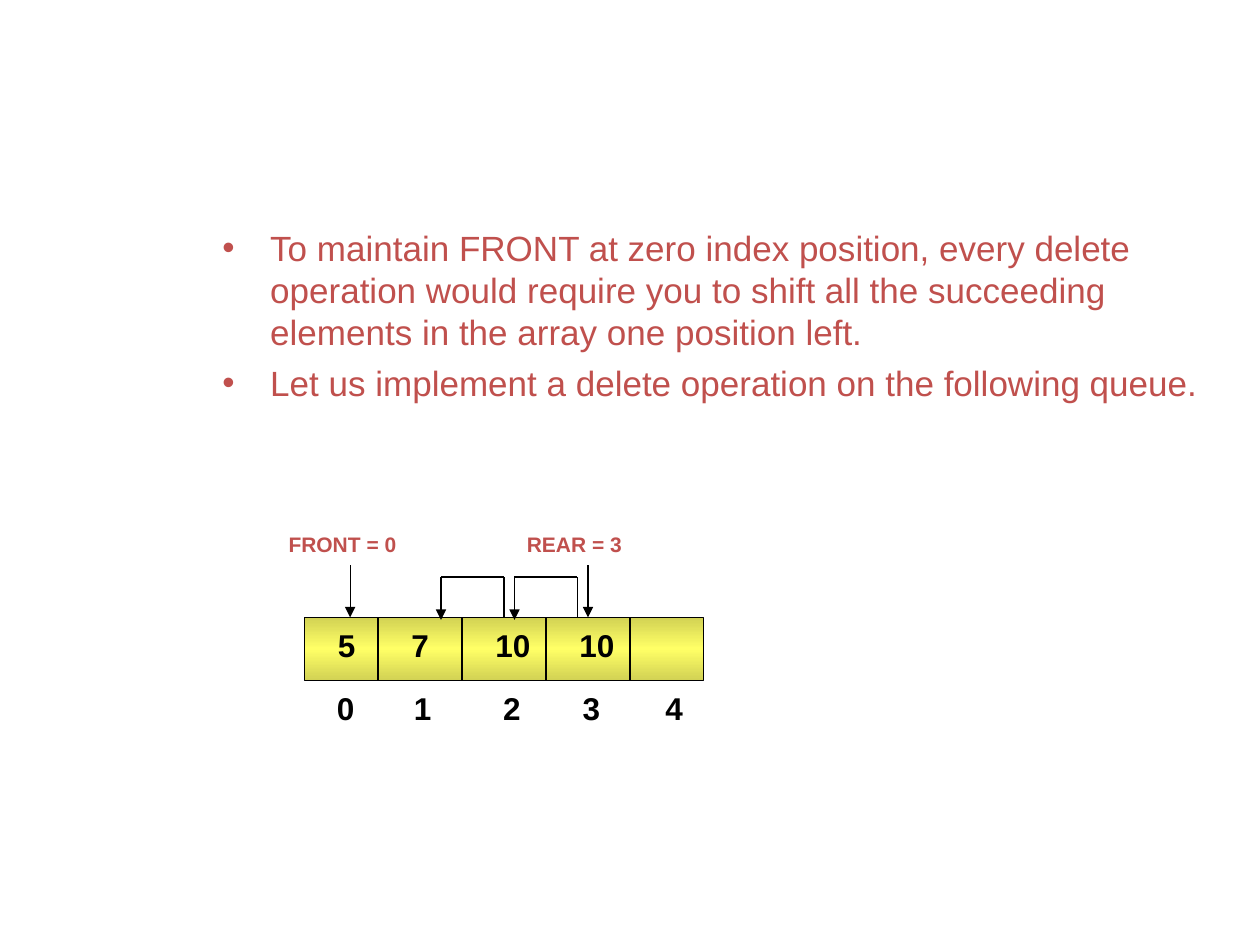
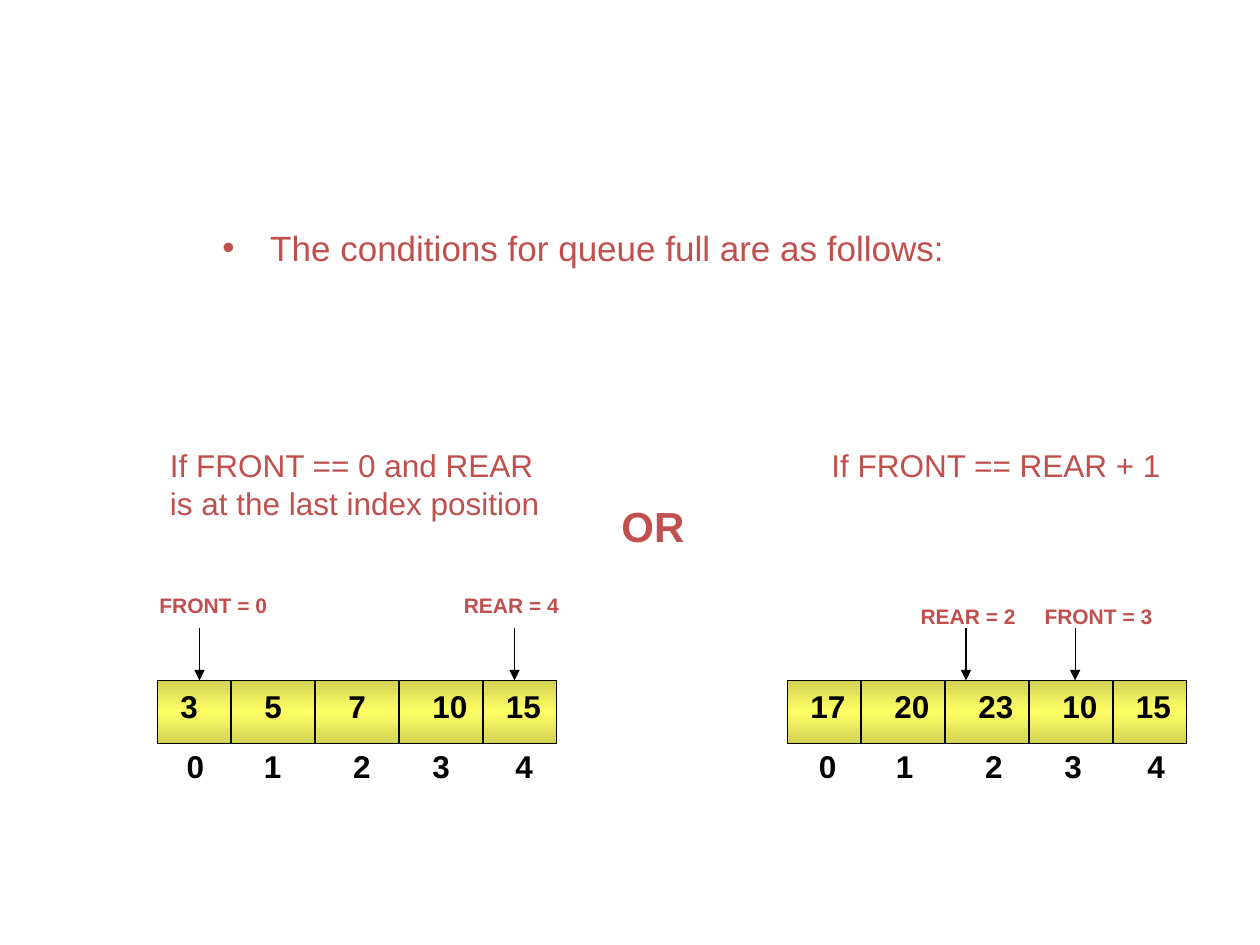
from dataclasses import dataclass
from lxml.etree import SubElement
from pptx import Presentation
from pptx.dml.color import RGBColor
from pptx.enum.shapes import MSO_CONNECTOR, MSO_SHAPE
from pptx.enum.text import MSO_AUTO_SIZE
from pptx.oxml.ns import qn
from pptx.util import Inches, Pt


@dataclass(frozen=True)
class Theme:
    font: str = "Arial"
    accent: RGBColor = RGBColor(0xC0, 0x50, 0x4D)
    ink: RGBColor = RGBColor(0, 0, 0)
    cell_edge: str = "D2D254"
    cell_middle: str = "FFFF66"
    line: float = 0.75
    label: int = 12
    text: int = 18
    bullet: int = 20
    heading: int = 24


THEME = Theme()

# The grid: 120 columns by 75 rows on a 10 by 7.5 inch slide
COLUMN = Inches(10) / 120
ROW = Inches(7.5) / 75

# Queue geometry, counted from the queue's top left corner
QUEUE_WIDTH, QUEUE_HEIGHT = 38, 5
DIVIDERS = range(7, QUEUE_WIDTH - 1, 8)
INDEX_OFFSETS = (0, 7.35, 15.85, 23.4, 31.3)
POINTER_HEIGHT = 4.15
HOP_HEIGHT = 3.2


def across(columns):
    return round(columns * COLUMN)


def down(rows):
    return round(rows * ROW)


def add_text(page, texts, left, top, width, height, size,
             color=THEME.accent, bold=False, one_line=False, bulleted=False):
    box = page.shapes.add_textbox(across(left), down(top), across(width), down(height))
    frame = box.text_frame
    frame.word_wrap = not one_line
    if one_line:
        frame.auto_size = MSO_AUTO_SIZE.SHAPE_TO_FIT_TEXT
    for number, text in enumerate(texts):
        para = frame.add_paragraph() if number else frame.paragraphs[0]
        para.text = text
        if number:
            para.space_before = Pt(5)
        if bulleted:
            add_bullet(para)
        para.font.name = THEME.font
        para.font.size = Pt(size)
        para.font.bold = bold
        para.font.color.rgb = color


def add_bullet(para):
    properties = para._p.get_or_add_pPr()
    properties.set("marL", str(Inches(0.38)))
    properties.set("indent", str(-Inches(0.38)))
    SubElement(properties, qn("a:buFont"), typeface=THEME.font)
    SubElement(properties, qn("a:buChar"), char="•")


def add_bullets(page, texts, rows):
    add_text(page, texts, 20, 17.5, 96, rows, THEME.bullet, bulleted=True)


def add_number(page, number, left, top):
    text = str(number)
    width = 2.4 + 1.7 * len(text)
    add_text(page, [text], left, top, width, 4, THEME.text, THEME.ink,
             bold=True, one_line=True)


def add_line(page, start, end, arrow=False):
    line = page.shapes.add_connector(
        MSO_CONNECTOR.STRAIGHT,
        across(start[0]), down(start[1]), across(end[0]), down(end[1]))
    line.line.color.rgb = THEME.ink
    line.line.width = Pt(THEME.line)
    if arrow:
        SubElement(line.line._get_or_add_ln(), qn("a:tailEnd"), type="triangle")
    SubElement(line._element.spPr, qn("a:effectLst"))


def fill_with_sheen(shape):
    shape.fill.gradient()
    shape.fill.gradient_angle = 90
    stops = shape._element.spPr.find(qn("a:gradFill")).find(qn("a:gsLst"))
    for stop in list(stops):
        stops.remove(stop)
    sheen = ((0, THEME.cell_edge), (50, THEME.cell_middle), (100, THEME.cell_edge))
    for percent, color in sheen:
        stop = SubElement(stops, qn("a:gs"), pos=str(percent * 1000))
        SubElement(stop, qn("a:srgbClr"), val=color)


def add_queue(page, left, top, values, value_offsets, value_drop, index_start, index_drop):
    bar = page.shapes.add_shape(
        MSO_SHAPE.RECTANGLE,
        across(left), down(top), across(QUEUE_WIDTH), down(QUEUE_HEIGHT))
    bar.shadow.inherit = False
    fill_with_sheen(bar)
    bar.line.color.rgb = THEME.ink
    bar.line.width = Pt(THEME.line)
    for offset in DIVIDERS:
        add_line(page, (left + offset, top), (left + offset, top + QUEUE_HEIGHT))
    for value, offset in zip(values, value_offsets):
        add_number(page, value, left + offset, top + value_drop)
    for index, offset in enumerate(INDEX_OFFSETS):
        add_number(page, index, left + index_start + offset, top + index_drop)


def add_pointer(page, text, column, label_column, top, label_rise):
    """Label above the queue with an arrow down to its top edge."""
    width = 2.2 + 1.2 * len(text)
    add_text(page, [text], label_column, top - label_rise, width, 3,
             THEME.label, bold=True, one_line=True)
    add_line(page, (column, top - POINTER_HEIGHT), (column, top), arrow=True)


def add_hop(page, source, target, top):
    """Bent arrow that moves an element one cell to the left."""
    level = top - HOP_HEIGHT
    add_line(page, (source, top), (source, level))
    add_line(page, (source, level), (target, level))
    add_line(page, (target, level), (target, top + 0.2), arrow=True)


def build_delete_page(page):
    left, top = 29, 49
    add_bullets(page, [
        "To maintain FRONT at zero index position, every delete operation would require "
        "you to shift all the succeeding elements in the array one position left.",
        "Let us implement a delete operation on the following queue.",
    ], 19.2)
    add_queue(page, left, top, (5, 7, 10, 10), (2, 9, 17, 25), 0.2, 1.9, 5.2)
    add_pointer(page, "FRONT = 0", left + 4.35, left - 2.7, top, 7.3)
    add_pointer(page, "REAR = 3", left + 27, left + 20, top, 7.3)
    for source in (48, 55):
        add_hop(page, source, source - 6, top)


def build_full_page(page):
    top = 54
    value_offsets = (1, 9, 17, 25, 32)
    add_bullets(page, ["The conditions for queue full are as follows:"], 50)

    # Full because REAR has reached the end
    left = 15
    add_text(page, ["If FRONT == 0 and REAR is at the last index position"],
             left, 34.9, 38, 7, THEME.text)
    add_queue(page, left, top, (3, 5, 7, 10, 15), value_offsets, 0, 1.6, 4.8)
    add_pointer(page, "FRONT = 0", left + 4, left - 1, top, 7.5)
    add_pointer(page, "REAR = 4", left + 34, left + 28, top, 7.5)

    add_text(page, ["OR"], 58, 39.2, 13, 5, THEME.heading, bold=True)

    # Full because REAR has wrapped round to FRONT
    left = 75
    add_text(page, ["If FRONT == REAR + 1"], left + 3, 34.9, 38, 4, THEME.text)
    add_queue(page, left, top, (17, 20, 23, 10, 15), value_offsets, 0, 1.8, 4.8)
    add_pointer(page, "REAR = 2", left + 17, left + 11.5, top, 6.6)
    add_pointer(page, "FRONT = 3", left + 27.4, left + 23.3, top, 6.6)


def main():
    deck = Presentation()
    deck.slide_width, deck.slide_height = Inches(10), Inches(7.5)
    blank = deck.slide_layouts.get_by_name("Blank")
    for build in (build_delete_page, build_full_page):
        build(deck.slides.add_slide(blank))
    deck.save("out.pptx")


if __name__ == "__main__":
    main()
